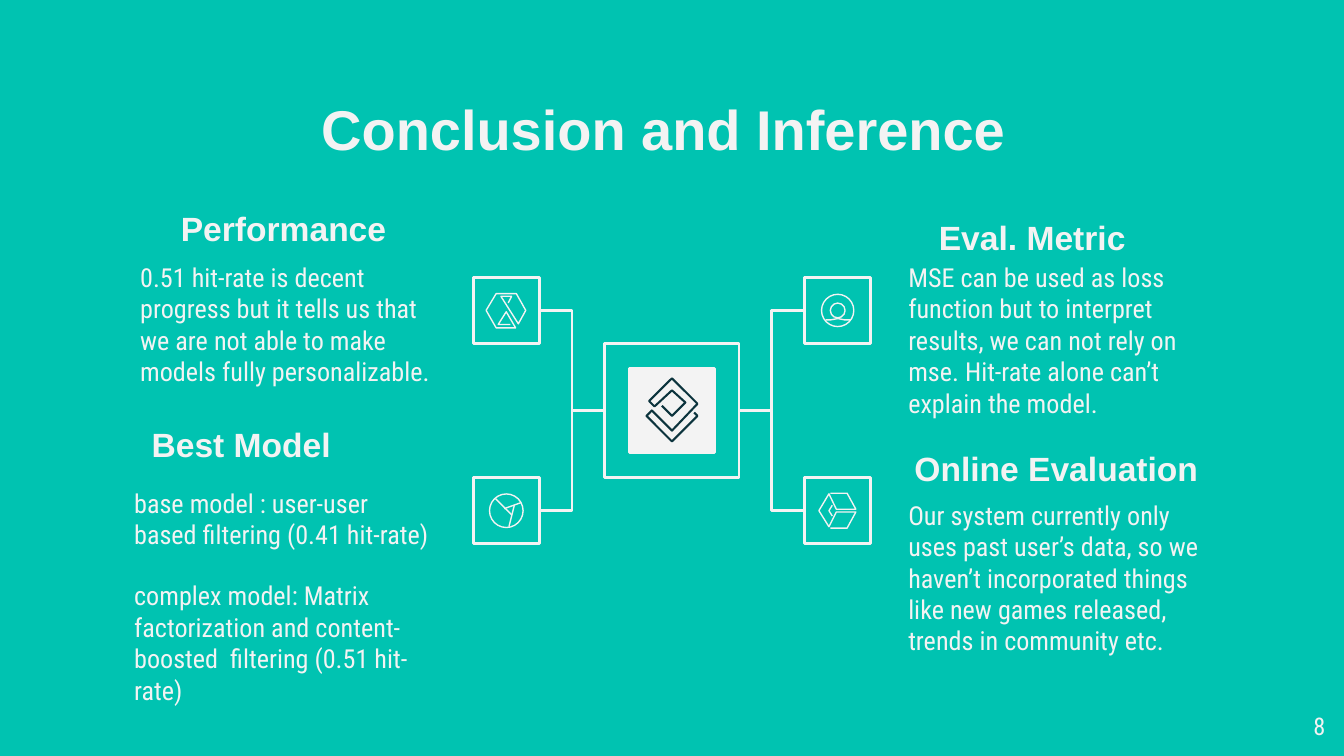
from dataclasses import dataclass

from lxml import etree
from pptx import Presentation
from pptx.dml.color import RGBColor
from pptx.enum.shapes import MSO_CONNECTOR, MSO_SHAPE
from pptx.enum.text import MSO_ANCHOR, PP_ALIGN
from pptx.oxml.ns import qn
from pptx.util import Inches, Pt

RECT, OVAL = MSO_SHAPE.RECTANGLE, MSO_SHAPE.OVAL
ELBOW = MSO_CONNECTOR.ELBOW
LEFT, CENTER, RIGHT = PP_ALIGN.LEFT, PP_ALIGN.CENTER, PP_ALIGN.RIGHT
TOP, MIDDLE = MSO_ANCHOR.TOP, MSO_ANCHOR.MIDDLE
LEFT_SIDE, RIGHT_SIDE = 1, 3
CELL = 0.1
COLS, ROWS = 100, 56.25


@dataclass(frozen=True)
class Theme:
    background: RGBColor = RGBColor(0x00, 0xC3, 0xB1)
    light: RGBColor = RGBColor(0xF3, 0xF3, 0xF3)
    dark: RGBColor = RGBColor(0x0C, 0x34, 0x3D)
    heading_font: str = "Arial"
    body_font: str = "Roboto Condensed"
    title_size: int = 30
    heading_size: int = 18
    body_size: int = 14
    number_size: int = 13
    frame_line: float = 1.5
    mark_line: float = 1.1
    icon_line: float = 0.75
    paragraph_gap: int = 16


THEME = Theme()

HUB = (50, 30.55)
ARM_X, ARM_Y = 12.33, 7.45
HUB_SIZE, CORE_SIZE, NODE_SIZE = 10, 6.3, 4.9

HUB_MARK = [(-0.75, -0.35), (0, 0.4), (1, -0.6), (0, -1.5), (-1.3, -0.3),
            (-1.7, -0.7), (0, -2.4), (1.9, -0.5), (0, 1.5), (-1.5, 0),
            (-1.9, 0.4), (0, 2.3), (1.9, 0.4), (1.65, 0.15)]
HOURGLASS = [(0.3, 1.05), (-0.6, 1.05), (0, 0.1), (0.7, 1.3), (-0.75, 1.3),
             (-1.5, 0), (-0.75, -1.25), (0.75, -1.25), (1.45, 0), (0.9, 1),
             (-0.4, -1.05), (0.4, -1.05), (0.15, -0.55)]
CUBE = [(-0.55, -1.3), (0.7, -1.3), (1.35, -0.1), (-0.1, -0.1),
        (-0.65, -1.25), (-1.4, 0), (-0.65, 1.2), (-0.1, 0.1), (1.35, 0.1),
        (0.7, 1.3), (-0.55, 1.3)]
CHEVRON = [(-0.4, -0.4), (-0.65, 0), (-0.4, 0.4)]
HORIZON = [(-0.9, 0.7), (-0.5, 0.7), (0, 0.6), (0.5, 0.7), (0.9, 0.7)]
SHUTTER = [[(-0.8, -0.9), (0.4, 0.3)], [(1.1, -0.6), (-0.15, -0.15)],
           [(0.6, -0.4), (0.2, 1.2)]]

NODES = [
    (-1, -1, [HOURGLASS], []),
    (1, -1, [HORIZON], [1.2, 0.55]),
    (-1, 1, SHUTTER, [1.25]),
    (1, 1, [CUBE, CHEVRON], []),
]

HEADINGS = [
    ("Performance", 8.9, 15, 24.4, 4, MIDDLE),
    ("Eval. Metric", 64.8, 16.3, 24, 2.7, MIDDLE),
    ("Best Model", 5.75, 30.55, 24.4, 4, TOP),
    ("Online Evaluation", 66.6, 32.35, 24, 4, TOP),
]

BODIES = [
    ("0.51 hit-rate is decent progress but it tells us that we are not able "
     "to make models fully personalizable.", 9.45, 18.45, 24.4, 10),
    ("MSE can be used as loss function but to interpret results, we can not "
     "rely on mse. Hit-rate alone can’t explain the model.",
     66.6, 18.45, 24, 4.9),
    ("base model : user-user based filtering (0.41 hit-rate)\n"
     "complex model: Matrix factorization and content-boosted  filtering "
     "(0.51 hit-rate)", 9, 35.25, 24.4, 7.7),
    ("Our system currently only uses past user’s data, so we haven’t "
     "incorporated things like new games released, trends in community etc.",
     66.6, 36.15, 24, 7.7),
]


def grid(*cells):
    return [Inches(c * CELL) for c in cells]


def add_text(s, text, box, size, font, bold=False, align=LEFT, anchor=TOP):
    tf = s.shapes.add_textbox(*grid(*box)).text_frame
    tf.word_wrap = True
    tf.vertical_anchor = anchor
    tf.margin_left = tf.margin_right = Inches(CELL)
    tf.margin_top = tf.margin_bottom = Inches(CELL)
    tf.text = text
    for i, p in enumerate(tf.paragraphs):
        p.alignment = align
        if i:
            p.space_before = Pt(THEME.paragraph_gap)
        for r in p.runs:
            r.font.size = Pt(size)
            r.font.name = font
            r.font.bold = bold
            r.font.color.rgb = THEME.light


def style(sp, color, width, fill=None):
    sp.shadow.inherit = False
    if fill is None:
        sp.fill.background()
    else:
        sp.fill.solid()
        sp.fill.fore_color.rgb = fill
    sp.line.color.rgb = color
    sp.line.width = Pt(width)


def add_centred(s, kind, center, size, width, fill=None):
    x, y = center
    box = grid(x - size / 2, y - size / 2, size, size)
    sp = s.shapes.add_shape(kind, *box)
    style(sp, THEME.light, width, fill)
    return sp


def add_stroke(s, center, offsets, color, width):
    points = [grid(center[0] + dx, center[1] + dy) for dx, dy in offsets]
    builder = s.shapes.build_freeform(*points[0])
    builder.add_line_segments(points[1:], close=False)
    style(builder.convert_to_shape(), color, width)


def add_elbow(s, node, node_side, hub, hub_side):
    line = s.shapes.add_connector(ELBOW, 0, 0, 0, 0)
    line.begin_connect(node, node_side)
    line.end_connect(hub, hub_side)
    line.line.color.rgb = THEME.light
    line.line.width = Pt(THEME.frame_line)
    etree.SubElement(line._element.spPr, qn("a:effectLst"))


def add_node(s, hub, side, level, strokes, radii):
    center = (HUB[0] + side * ARM_X, HUB[1] + level * ARM_Y)
    node = add_centred(s, RECT, center, NODE_SIZE, THEME.frame_line)
    for offsets in strokes:
        add_stroke(s, center, offsets, THEME.light, THEME.icon_line)
    for radius in radii:
        add_centred(s, OVAL, center, 2 * radius, THEME.icon_line)
    sides = (RIGHT_SIDE, LEFT_SIDE) if side < 0 else (LEFT_SIDE, RIGHT_SIDE)
    add_elbow(s, node, sides[0], hub, sides[1])


def add_diagram(s):
    hub = add_centred(s, RECT, HUB, HUB_SIZE, THEME.frame_line)
    add_centred(s, RECT, HUB, CORE_SIZE, THEME.frame_line, THEME.light)
    add_stroke(s, HUB, HUB_MARK, THEME.dark, THEME.mark_line)
    for node in NODES:
        add_node(s, hub, *node)


def main():
    prs = Presentation()
    prs.slide_width, prs.slide_height = grid(COLS, ROWS)
    s = prs.slides.add_slide(prs.slide_layouts[6])
    s.background.fill.solid()
    s.background.fill.fore_color.rgb = THEME.background
    add_text(s, "Conclusion and Inference ", (7.8, 6.05, 84.3, 6.3),
             THEME.title_size, THEME.heading_font, True, CENTER)
    for text, *box, anchor in HEADINGS:
        add_text(s, text, box, THEME.heading_size, THEME.heading_font,
                 True, CENTER, anchor)
    for text, *box in BODIES:
        add_text(s, text, box, THEME.body_size, THEME.body_font)
    add_diagram(s)
    add_text(s, "8", (93.6, 51.95, 6, 4.3), THEME.number_size,
             THEME.body_font, align=RIGHT)
    prs.save("out.pptx")


if __name__ == "__main__":
    main()
